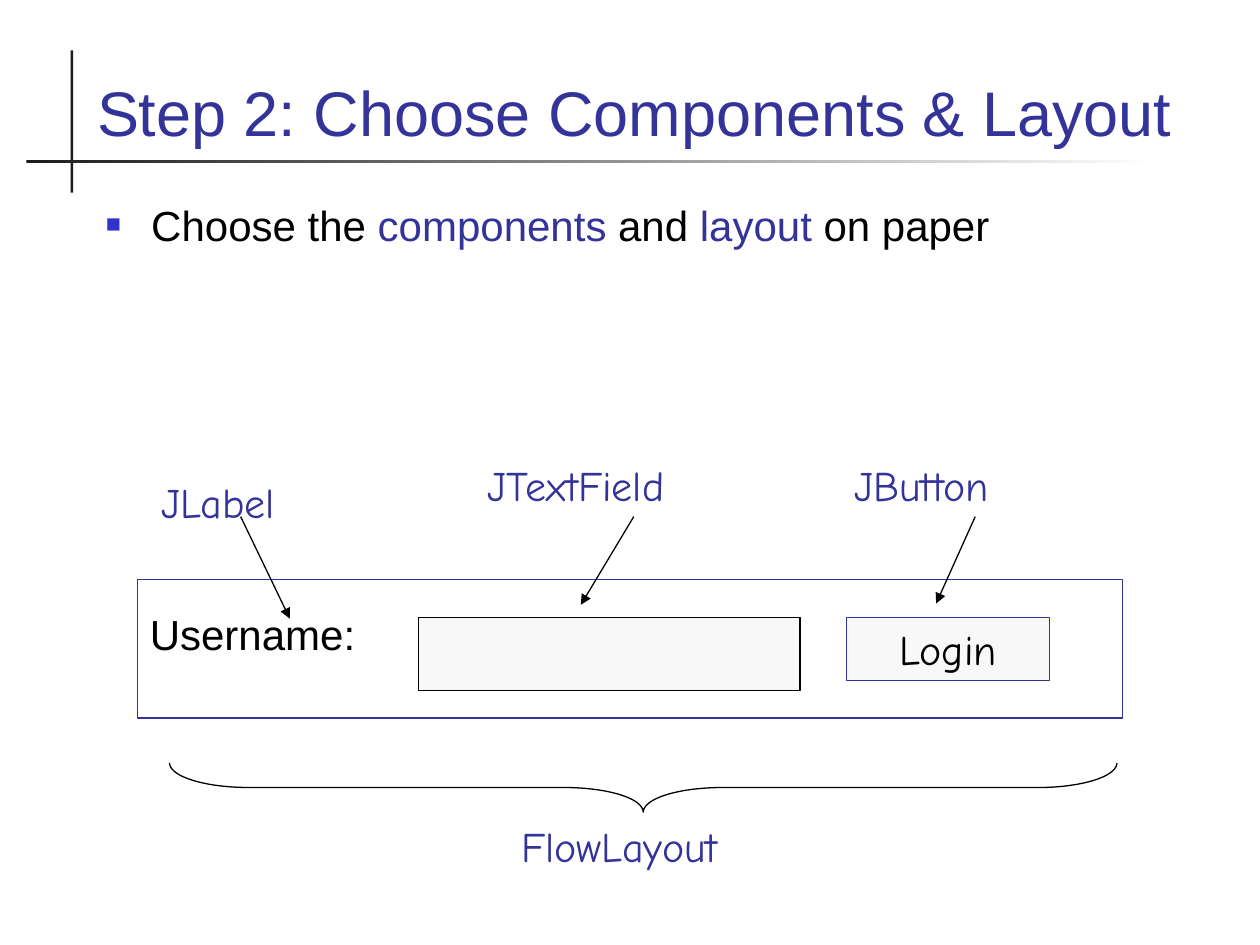
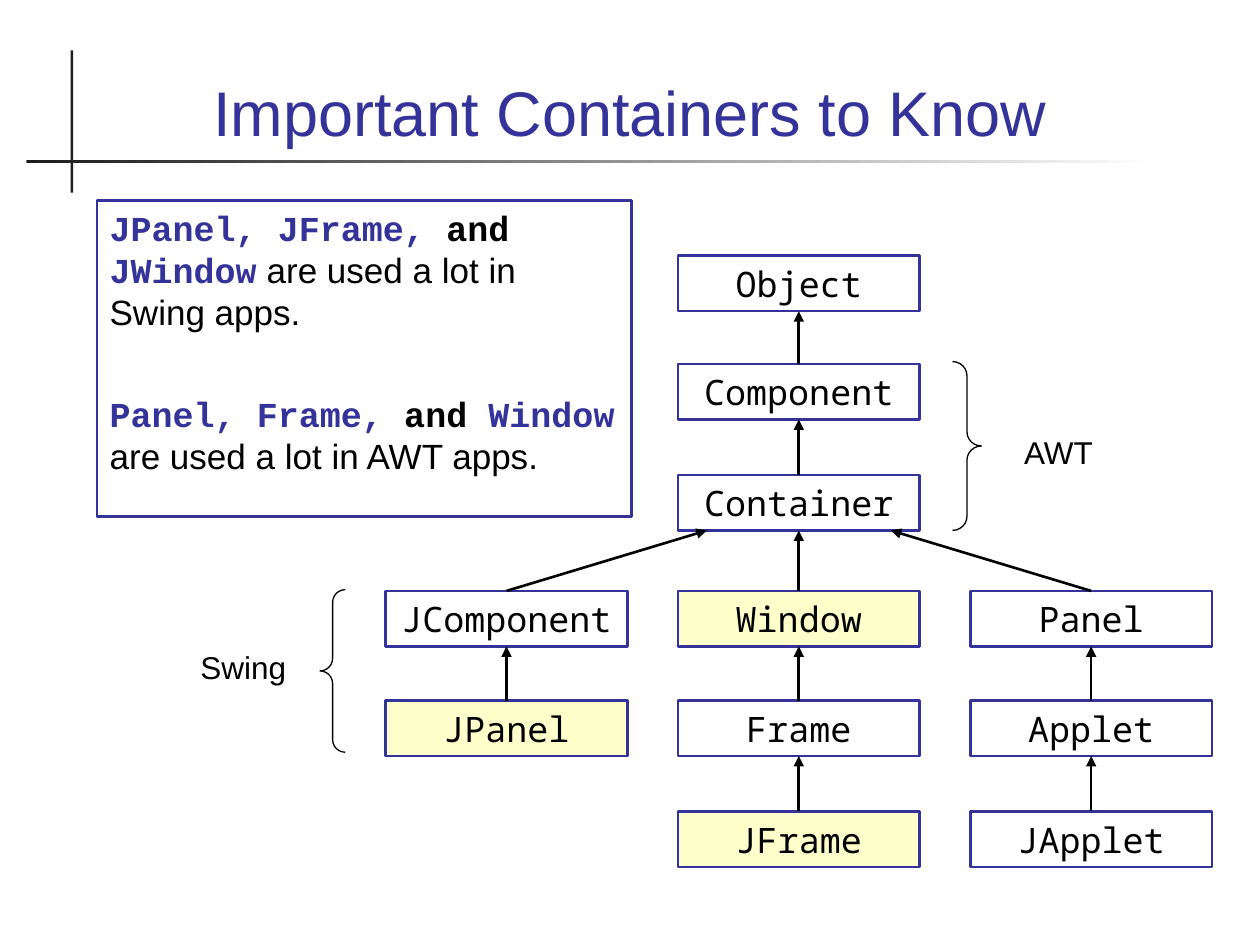
from typing import NamedTuple

from lxml import etree
from pptx import Presentation
from pptx.dml.color import RGBColor
from pptx.enum.shapes import MSO_CONNECTOR, MSO_SHAPE
from pptx.enum.text import MSO_ANCHOR, MSO_AUTO_SIZE, PP_ALIGN
from pptx.oxml.ns import qn
from pptx.util import Inches, Pt

# The slide is a grid of square cells: 100 columns by 75 rows.
COLS, ROWS = 100, 75
WIDE, HIGH = Inches(10), Inches(7.5)

HUES = {
    "ink": "000000",
    "navy": "333399",
    "mark": "3333CC",
    "rule": "1C1C1C",
    "white": "FFFFFF",
    "gray": "F8F8F8",
    "cream": "FFFFCC",
}
SANS, HAND, CODE, MONO = "Arial", "Comic Neue", "Courier New", "Noto Sans Mono"

RECT = MSO_SHAPE.RECTANGLE
LBRACE, RBRACE = MSO_SHAPE.LEFT_BRACE, MSO_SHAPE.RIGHT_BRACE
LINE = MSO_CONNECTOR.STRAIGHT
TOP, MIDDLE, BOTTOM = MSO_ANCHOR.TOP, MSO_ANCHOR.MIDDLE, MSO_ANCHOR.BOTTOM
LEFT, CENTER, RIGHT = PP_ALIGN.LEFT, PP_ALIGN.CENTER, PP_ALIGN.RIGHT


class Box(NamedTuple):
    x: float
    y: float
    w: float
    h: float


class Style(NamedTuple):
    font: str = SANS
    size: float = 24
    hue: str = "ink"
    bold: bool = False


class Label(NamedTuple):
    text: str
    box: Box
    style: Style
    align: PP_ALIGN = LEFT


class Link(NamedTuple):
    x1: float
    y1: float
    x2: float
    y2: float


class Brace(NamedTuple):
    kind: MSO_SHAPE
    box: Box
    curl: float
    turn: float = 0


class Node(NamedTuple):
    name: str
    col: int
    row: int
    hue: str = ""


PLAIN = Style()
NAVY = Style(hue="navy")
NOTE = Style(HAND, hue="navy")
SMALL = Style(size=18)
TITLE = Style(size=36, hue="navy")
KEY = Style(CODE, 20, "navy", True)
JOIN = Style(CODE, 20, "ink", True)
PROSE = Style(size=20)
CLASS = Style(MONO, 20)

# Slide 1
NAMES = [
    Label("JLabel", Box(11.8, 37.3, 15.4, 5), NOTE),
    Label("JTextField", Box(37.7, 36, 24.6, 5), NOTE),
    Label("JButton", Box(66.8, 36, 24.6, 5), NOTE),
    Label("FlowLayout", Box(40.4, 64.6, 28.1, 5), NOTE),
]
POINTS = [
    Link(19.1, 41, 23, 49.1),
    Link(50.3, 41, 46.1, 48),
    Link(77.4, 41, 74.3, 47.9),
]
FLOW = Brace(RBRACE, Box(49.1, 24.9, 3.9, 75.2), 1.61, 90)

# Slide 2
TREE_X, STEP, NODE_W, NODE_H = 30.6, 23.2, 19.2, 4.4
TREE_Y = [20.3, 28.9, 37.7, 46.9, 55.6, 64.4]
SPREAD = 7.3
NODES = [
    Node("Object", 1, 0),
    Node("Component", 1, 1),
    Node("Container", 1, 2),
    Node("JComponent", 0, 3),
    Node("Window", 1, 3, "cream"),
    Node("Panel", 2, 3),
    Node("JPanel", 0, 4, "cream"),
    Node("Frame", 1, 4),
    Node("Applet", 2, 4),
    Node("JFrame", 1, 5, "cream"),
    Node("JApplet", 2, 5),
]
KITS = [
    Label("AWT", Box(80.3, 33.9, 11.3, 4), SMALL),
    Label("Swing", Box(12.4, 50.9, 11.3, 4), SMALL, RIGHT),
]
SPANS = [
    Brace(RBRACE, Box(75.6, 28.7, 2.3, 13.4), 0.49),
    Brace(LBRACE, Box(25.4, 46.8, 2, 12.9), 0.5),
]


def cols(n: float) -> int:
    return round(WIDE * n / COLS)


def rows(n: float) -> int:
    return round(HIGH * n / ROWS)


def frame(box: Box) -> tuple:
    return cols(box.x), rows(box.y), cols(box.w), rows(box.h)


def color(name: str) -> RGBColor:
    return RGBColor.from_string(HUES[name])


def dress(run, style: Style) -> None:
    font = run.font
    font.name, font.size, font.bold = style.font, Pt(style.size), style.bold
    font.color.rgb = color(style.hue)


def setup(shape, anchor=TOP, top: float = 0.5):
    """Set wrapping, insets and anchor; return the text frame."""
    text = shape.text_frame
    text.word_wrap, text.auto_size = True, MSO_AUTO_SIZE.NONE
    text.vertical_anchor = anchor
    text.margin_left = text.margin_right = cols(1)
    text.margin_top, text.margin_bottom = rows(top), rows(0.5)
    return text


def write(shape, words: str, style: Style, align=LEFT, anchor=TOP, top: float = 0.5) -> None:
    text = setup(shape, anchor, top)
    text.text = words
    para = text.paragraphs[0]
    para.alignment = align
    dress(para.runs[0], style)


def mix(para, parts: list) -> None:
    """Fill a paragraph with differently styled runs."""
    para.space_before = Pt(0)
    for words, style in parts:
        run = para.add_run()
        run.text = words
        dress(run, style)


def bullet(para, mark: str = "") -> None:
    """Give the paragraph a square mark, or none at all."""
    props = para._p.get_or_add_pPr()
    dent = cols(3.6) if mark else 0
    props.set("marL", str(dent))
    props.set("indent", str(-dent))
    if not mark:
        etree.SubElement(props, qn("a:buNone"))
        return
    hue = etree.SubElement(props, qn("a:buClr"))
    etree.SubElement(hue, qn("a:srgbClr"), val=HUES["mark"])
    etree.SubElement(props, qn("a:buSzPct"), val="60000")
    etree.SubElement(props, qn("a:buFont"), typeface=SANS)
    etree.SubElement(props, qn("a:buChar"), char=mark)


def draw(slide, box: Box, fill: str = "", line: str = "", width: float = 0.75, kind=RECT):
    shape = slide.shapes.add_shape(kind, *frame(box))
    shape.shadow.inherit = False
    if fill:
        shape.fill.solid()
        shape.fill.fore_color.rgb = color(fill)
    else:
        shape.fill.background()
    if line:
        shape.line.color.rgb = color(line)
        shape.line.width = Pt(width)
    else:
        shape.line.fill.background()
    return shape


def label(slide, item: Label) -> None:
    shape = slide.shapes.add_textbox(*frame(item.box))
    write(shape, item.text, item.style, item.align)


def arrow(slide, link: Link, width: float = 0.75) -> None:
    line = slide.shapes.add_connector(
        LINE, cols(link.x1), rows(link.y1), cols(link.x2), rows(link.y2))
    line.line.color.rgb = color("ink")
    line.line.width = Pt(width)
    etree.SubElement(line.line._get_or_add_ln(), qn("a:tailEnd"), type="triangle")
    etree.SubElement(line._element.spPr, qn("a:effectLst"))


def curly(slide, item: Brace) -> None:
    shape = draw(slide, item.box, line="ink", kind=item.kind)
    shape.adjustments[0] = item.curl
    shape.rotation = item.turn


def place(shape, box: Box) -> None:
    shape.left, shape.top, shape.width, shape.height = frame(box)


def start(deck, title: str, width: float, align, body: Box):
    """Add a slide with the crossed rules and title; return it and its body."""
    slide = deck.slides.add_slide(deck.slide_layouts[1])
    draw(slide, Box(5.6, 4, 0.2, 11.3), "rule")
    fade = draw(slide, Box(2.1, 12.7, 89.8, 0.2), "rule").fill
    fade.gradient()
    fade.gradient_angle = 0
    for stop, hue in zip(fade.gradient_stops, ("rule", "white")):
        stop.color.rgb = color(hue)
    head, main = slide.placeholders
    place(head, Box(6.7, 2.8, width, 9.5))
    write(head, title, TITLE, align, BOTTOM)
    place(main, body)
    return slide, main


def paper(deck) -> None:
    slide, main = start(deck, "Step 2: Choose Components & Layout", 90.6, LEFT,
                        Box(7.4, 15.3, 86.6, 10.1))
    para = setup(main).paragraphs[0]
    bullet(para, "■")
    mix(para, [("Choose the ", PLAIN), ("components", NAVY), (" and ", PLAIN),
               ("layout", NAVY), (" on paper", PLAIN)])
    form = draw(slide, Box(10.9, 46, 78.2, 11), line="navy")
    write(form, "Username:", PLAIN, top=2.3)
    draw(slide, Box(33.2, 49, 30.3, 5.8), "gray", "ink")
    button = draw(slide, Box(67.2, 49, 16.1, 5), "gray", "navy")
    write(button, "Login", Style(HAND), CENTER)
    for item in NAMES:
        label(slide, item)
    for link in POINTS:
        arrow(slide, link)
    curly(slide, FLOW)


def tree(slide) -> None:
    """Draw the classes, each with an arrow up to its parent."""
    for node in NODES:
        x, y = TREE_X + STEP * node.col, TREE_Y[node.row]
        shape = draw(slide, Box(x, y, NODE_W, NODE_H), node.hue, "navy", 1.5)
        write(shape, node.name, CLASS, CENTER, MIDDLE)
    for node in NODES:
        if node.row == 0:
            continue
        mid = TREE_X + STEP * node.col + NODE_W / 2
        end = mid
        if node.row == 3:
            end = TREE_X + STEP + NODE_W / 2 + SPREAD * (node.col - 1)
        tip = TREE_Y[node.row - 1] + NODE_H
        arrow(slide, Link(mid, TREE_Y[node.row], end, tip), 1.5)


def classes(deck) -> None:
    slide, main = start(deck, "Important Containers to Know", 86.6, CENTER,
                        Box(7.7, 15.9, 42.4, 25.1))
    main.line.color.rgb = color("navy")
    main.line.width = Pt(1.5)
    text = setup(main)
    facts = [("JPanel, JFrame, ", " JWindow", "Swing"),
             ("Panel, Frame, ", " Window", "AWT")]
    for i, (first, last, kit) in enumerate(facts):
        para = text.add_paragraph() if i else text.paragraphs[0]
        bullet(para)
        mix(para, [(first, KEY), ("and", JOIN), (last, KEY),
                   (f" are used a lot in {kit} apps.", PROSE)])
        para.space_before = Pt(34 * i)
    tree(slide)
    for item in KITS:
        label(slide, item)
    for item in SPANS:
        curly(slide, item)


def main() -> None:
    deck = Presentation()
    deck.slide_width, deck.slide_height = WIDE, HIGH
    paper(deck)
    classes(deck)
    deck.save("out.pptx")


if __name__ == "__main__":
    main()
